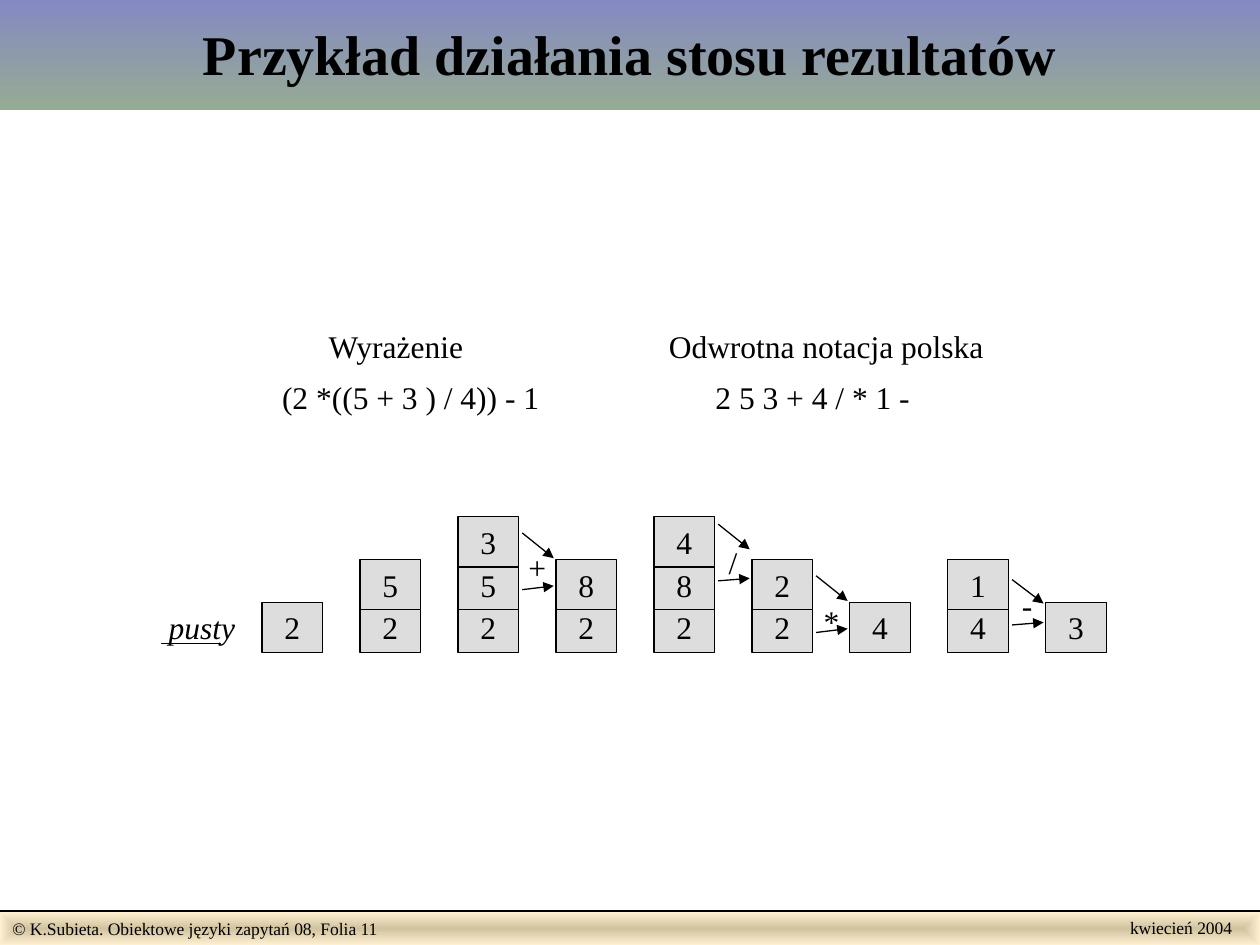
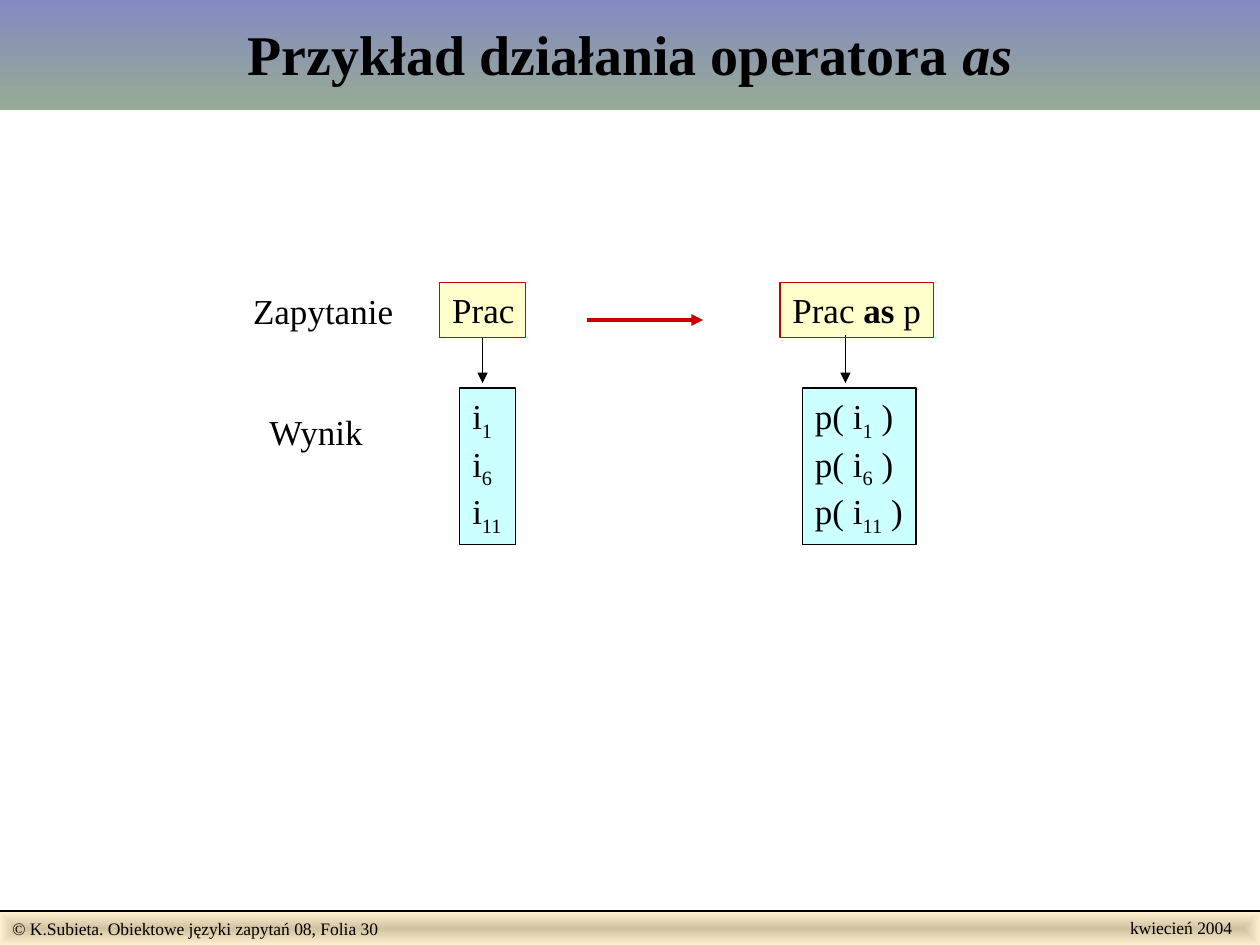
"""Build two lecture slides: the result stack and the "as" operator."""
from lxml import etree
from pptx import Presentation
from pptx.dml.color import RGBColor
from pptx.enum import shapes, text
from pptx.oxml import ns
from pptx.util import Inches, Pt

FONT = "Times New Roman"
BLACK = RGBColor(0x00, 0x00, 0x00)
RED = RGBColor(0xCC, 0x00, 0x00)
GREY = RGBColor(0xDD, 0xDD, 0xDD)
YELLOW = RGBColor(0xFF, 0xFF, 0xCC)
CYAN = RGBColor(0xCC, 0xFF, 0xFF)
TITLE_TOP = RGBColor(0x84, 0x88, 0xC4)
TITLE_BOTTOM = RGBColor(0x96, 0xAB, 0x94)
FOOTER_CENTRE = RGBColor(0xD1, 0xC3, 0x9F)
FOOTER_EDGE = RGBColor(0xFF, 0xEF, 0xD1)

FOOTER = "© K.Subieta. Obiektowe języki zapytań 08, Folia {}"
DATE = "kwiecień 2004"

STACK_TITLE = [("Przykład działania stosu rezultatów", "")]
NOTATIONS = [
    ("Wyrażenie", (2.51, 2.55, 1.28, 0.4)),
    ("Odwrotna notacja polska", (5.21, 2.55, 2.7, 0.4)),
    ("(2 *((5 + 3 ) / 4)) - 1", (2.14, 2.95, 2.24, 0.4)),
    ("2 5 3 + 4 / * 1 -", (5.58, 2.95, 1.76, 0.4)),
]
STACKS = ["2", "25", "253", "28", "284", "22", "4", "41", "3"]
OPERATORS = [
    (2, "+", 0.34, 4.3, [(4.23, 4.43), (4.68, 4.65)]),
    (4, "/", 0.27, 4.26, [(4.16, 4.36), (4.61, 4.59)]),
    (5, "*", 0.32, 4.73, [(4.57, 4.77), (5.02, 4.99)]),
    (7, "-", 0.28, 4.6, [(4.6, 4.79), (4.96, 4.94)]),
]
STACK_LEFT, STACK_RIGHT, STACK_BASE = 2.08, 8.3, 4.78
STACK_PITCH = (STACK_RIGHT - STACK_LEFT) / (len(STACKS) - 1)
CELL_WIDTH, CELL_HEIGHT, CELL_STEP = 0.48, 0.4, 0.34

AS_TITLE = [("Przykład działania operatora ", ""), ("as", "italic")]
ROW_LABELS = [("Zapytanie", (1.91, 2.25, 1.31, 0.44)), ("Wynik", (2.04, 3.21, 0.96, 0.44))]
RESULT_IDS = ["1", "6", "11"]
QUERIES = [
    ([("Prac", "")], (3.49, 0.68), "i", "", (3.65, 0.44), 3.83),
    ([("Prac ", ""), ("as", "bold"), (" p", "")], (6.19, 1.22), "p( i", " )", (6.37, 0.9), 6.71),
]


def write(frame, paragraphs, size, align=text.PP_ALIGN.LEFT, bold=False, italic=False):
    for index, runs in enumerate(paragraphs):
        paragraph = frame.paragraphs[0] if index == 0 else frame.add_paragraph()
        paragraph.alignment = align
        paragraph.font.name = FONT
        paragraph.font.size = Pt(size)
        paragraph.font.color.rgb = BLACK
        paragraph.font.bold = bold
        paragraph.font.italic = italic
        for content, style in runs:
            run = paragraph.add_run()
            run.text = content
            if style == "bold":
                run.font.bold = True
            elif style == "italic":
                run.font.italic = True
            elif style == "subscript":
                run._r.get_or_add_rPr().set("baseline", "-25000")


def add_label(slide, content, place, size, italic=False):
    label = slide.shapes.add_textbox(*map(Inches, place))
    label.text_frame.word_wrap = False
    label.text_frame.auto_size = text.MSO_AUTO_SIZE.SHAPE_TO_FIT_TEXT
    write(label.text_frame, [[(content, "")]], size, italic=italic)


def add_box(slide, place, paragraphs, size, fill, line=BLACK, align=text.PP_ALIGN.LEFT, wrap=False):
    box = slide.shapes.add_shape(shapes.MSO_SHAPE.RECTANGLE, *map(Inches, place))
    box.shadow.inherit = False
    box.fill.solid()
    box.fill.fore_color.rgb = fill
    box.line.color.rgb = line
    box.line.width = Pt(0.75)
    box.text_frame.word_wrap = wrap
    box.text_frame.vertical_anchor = text.MSO_ANCHOR.TOP
    write(box.text_frame, paragraphs, size, align)
    return box


def add_line(slide, start, end, color=BLACK, width=0.75, arrow=True):
    line = slide.shapes.add_connector(shapes.MSO_CONNECTOR.STRAIGHT, *map(Inches, start + end))
    line.line.color.rgb = color
    line.line.width = Pt(width)
    if arrow:
        etree.SubElement(line.line._get_or_add_ln(), ns.qn("a:tailEnd"), type="triangle")
    etree.SubElement(line._element.spPr, ns.qn("a:effectLst"))
    return line


def fill_gradient(shape, *colors):
    shape.fill.gradient()
    shape.fill.gradient_angle = 270
    for stop, color, position in zip(shape.fill.gradient_stops, colors, (0, 1)):
        stop.color.rgb = color
        stop.position = position


def add_footer(slide, folio):
    band = slide.shapes.add_shape(
        shapes.MSO_SHAPE.RECTANGLE, 0, Inches(7.24), Inches(10), Inches(0.26))
    band.shadow.inherit = False
    band.line.fill.background()
    fill_gradient(band, FOOTER_CENTRE, FOOTER_EDGE)
    gradient = band._element.spPr.find(ns.qn("a:gradFill"))
    gradient.remove(gradient.find(ns.qn("a:lin")))
    radial = etree.SubElement(gradient, ns.qn("a:path"), path="rect")
    etree.SubElement(radial, ns.qn("a:fillToRect"), dict.fromkeys("ltrb", "50000"))
    band.text_frame.vertical_anchor = text.MSO_ANCHOR.TOP
    write(band.text_frame, [[(FOOTER.format(folio), "")]], 10)
    add_line(slide, (0, 7.23), (10, 7.23), width=1, arrow=False)
    add_label(slide, DATE, (8.87, 7.23, 1.01, 0.27), 10)


def add_slide(presentation, title_runs, folio):
    slide = presentation.slides.add_slide(presentation.slide_layouts[5])
    add_footer(slide, folio)
    title = slide.shapes.title
    title.left, title.top, title.width, title.height = map(Inches, (0, -0.03, 10, 0.9))
    fill_gradient(title, TITLE_TOP, TITLE_BOTTOM)
    title.text_frame.auto_size = text.MSO_AUTO_SIZE.NONE
    title.text_frame.vertical_anchor = text.MSO_ANCHOR.MIDDLE
    write(title.text_frame, [title_runs], 32, text.PP_ALIGN.CENTER, bold=True)
    return slide


def build_stack_slide(presentation):
    slide = add_slide(presentation, STACK_TITLE, 11)
    for content, place in NOTATIONS:
        add_label(slide, content, place, 18)
    add_line(slide, (1.28, 5.11), (1.75, 5.11), arrow=False)
    add_label(slide, "pusty", (1.24, STACK_BASE, 0.73, 0.4), 18, italic=True)
    for column, stack in enumerate(STACKS):
        for level, value in enumerate(stack):
            place = (STACK_LEFT + column * STACK_PITCH, STACK_BASE - level * CELL_STEP,
                     CELL_WIDTH, CELL_HEIGHT)
            add_box(slide, place, [[(value, "")]], 18, GREY, align=text.PP_ALIGN.CENTER, wrap=True)
    for column, symbol, width, top, arrows in OPERATORS:
        right = STACK_LEFT + column * STACK_PITCH + CELL_WIDTH
        for start, end in arrows:
            add_line(slide, (right + 0.03, start), (right + 0.28, end))
        add_label(slide, symbol, (right + 0.15 - width / 2, top, width, 0.4), 18)


def build_as_slide(presentation):
    slide = add_slide(presentation, AS_TITLE, 30)
    for content, place in ROW_LABELS:
        add_label(slide, content, place, 20)
    for query, (left, width), before, after, (result_left, result_width), arrow_x in QUERIES:
        rows = [[(before, ""), (number, "subscript"), (after, "")][:3 if after else 2]
                for number in RESULT_IDS]
        add_box(slide, (result_left, 3.08, result_width, 1.24), rows, 20, CYAN)
        box = add_box(slide, (left, 2.24, width, 0.44), [query], 20, YELLOW, RED)
        arrow = add_line(slide, (arrow_x, 2.66), (arrow_x, 3.04))
        if abs(left + width / 2 - arrow_x) < 0.01:
            arrow.begin_connect(box, 2)
    add_line(slide, (4.66, 2.54), (5.58, 2.54), RED, 2.25)


def main():
    presentation = Presentation()
    presentation.slide_width, presentation.slide_height = Inches(10), Inches(7.5)
    build_stack_slide(presentation)
    build_as_slide(presentation)
    presentation.save("out.pptx")


if __name__ == "__main__":
    main()
